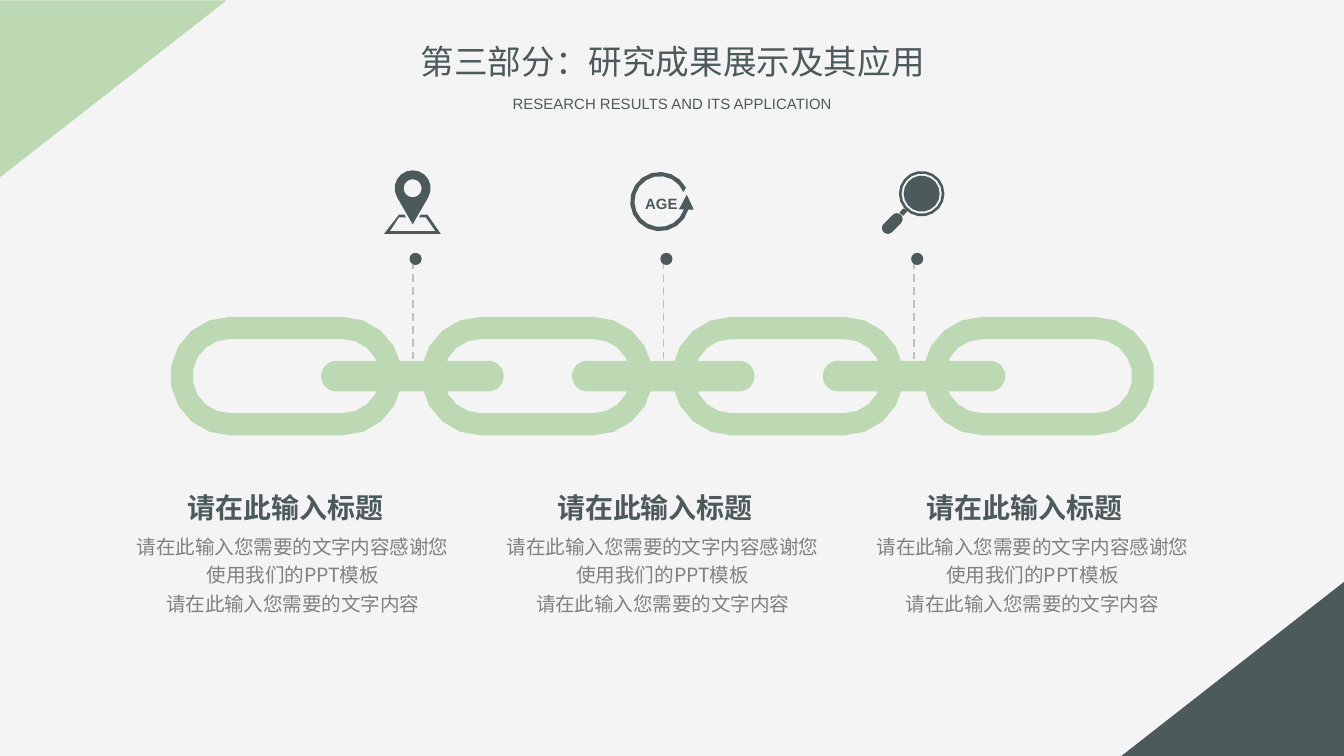
"""Build the chain slide of research results with three captioned icons."""
from math import cos, radians, sin

from lxml.etree import SubElement
from pptx import Presentation
from pptx.dml.color import RGBColor
from pptx.enum.dml import MSO_LINE as DASH
from pptx.enum.shapes import MSO_CONNECTOR as CONN, MSO_SHAPE as SHAPE
from pptx.enum.text import MSO_AUTO_SIZE as AUTO, PP_ALIGN as ALIGN
from pptx.oxml.ns import qn
from pptx.util import Cm, Pt

GREEN, DARK, GREY, RULE, PAPER = "BCD9B4", "4D5A5C", "808080", "BFBFBF", "F4F4F4"
CJK = "Noto Sans CJK SC"
STEP, MID = 4.74, 7.11


def arc(x, y, r, start, end):
    n = max(3, round(abs(end - start) / 20))
    angles = [radians(start + (end - start) * i / n) for i in range(n + 1)]
    return [(x + r * cos(a), y + r * sin(a)) for a in angles]


def paint(fmt, color):
    if hasattr(fmt, "solid"):
        fmt.solid()
        fmt = fmt.fore_color
    else:
        fmt = fmt.color
    fmt.rgb = RGBColor.from_string(color)


prs = Presentation()
prs.slide_width, prs.slide_height = Cm(25.4), Cm(14.29)
slide = prs.slides.add_slide(prs.slide_layouts[6])
paint(slide.background.fill, PAPER)
shapes = slide.shapes

for i in range(3):
    x = 7.8 + STEP * i
    line = shapes.add_connector(CONN.STRAIGHT, Cm(x), Cm(7.04), Cm(x), Cm(4.9))
    paint(line.line, RULE)
    line.line.width, line.line.dash_style = Pt(1), DASH.DASH
    SubElement(line._element.spPr, qn("a:effectLst"))

presets = [
    (SHAPE.RIGHT_TRIANGLE, 0.46, -0.46, 3.35, 4.29, 90, GREEN),
    (SHAPE.RIGHT_TRIANGLE, 21.64, 10.54, 3.3, 4.22, 270, DARK),
]
for i in range(3):
    presets += [
        (SHAPE.OVAL, 7.74 + STEP * i, 4.78, 0.23, 0.23, 0, DARK),
        (SHAPE.ROUNDED_RECTANGLE, 6.07 + STEP * i, MID - 0.29, 3.45, 0.58, 0, GREEN),
    ]
for kind, x, y, w, h, turn, color in presets:
    s = shapes.add_shape(kind, Cm(x), Cm(y), Cm(w), Cm(h))
    if kind == SHAPE.ROUNDED_RECTANGLE:
        s.adjustments[0] = 0.5
    s.rotation = turn
    s.shadow.inherit = False
    s.line.fill.background()
    paint(s.fill, color)

outlines = []
for i in range(4):
    x = 4.34 + STEP * i
    link = [arc(x, MID, r, 90, 270) + arc(x + 2.14, MID, r, -90, 90) for r in (1.12, 0.7)]
    outlines.append((link, GREEN))

pin = [
    [(7.54, 4.06), (7.65, 4.06), (7.67, 4.11), (7.54, 4.11), (7.37, 4.37), (8.23, 4.37),
     (8.05, 4.11), (7.92, 4.11), (7.95, 4.06), (8.08, 4.06), (8.33, 4.42), (7.26, 4.42)],
    arc(7.8, 3.56, 0.34, 150, 390) + [(7.8, 4.24)],
    arc(7.8, 3.56, 0.17, 0, 360),
]
cycle = [
    arc(12.47, 3.81, 0.56, -28, -344)
    + [(13.11, 3.96), (12.98, 3.68), (12.83, 3.96)]
    + arc(12.47, 3.81, 0.48, -342, -22)
]
magnifier = [arc(17.42, 3.66, r, 0, 360) for r in (0.43, 0.38, 0.34)]
magnifier += [
    [(17.07, 3.94), (17.0, 4.02), (17.07, 4.08), (17.15, 3.99)],
    arc(16.95, 4.14, 0.11, -135, 45) + arc(16.78, 4.31, 0.11, 45, 225),
]
outlines += [(icon, DARK) for icon in (pin, cycle, magnifier)]

for contours, color in outlines:
    loops = [[(Cm(x), Cm(y)) for x, y in contour] for contour in contours]
    fb = shapes.build_freeform(*loops[0][0])
    for n, points in enumerate(loops):
        if n:
            fb.move_to(*points[0])
        fb.add_line_segments(points[1:], close=True)
    s = fb.convert_to_shape()
    s.shadow.inherit = False
    s.line.fill.background()
    paint(s.fill, color)

heading = dict(size=Pt(15), name=CJK, bold=True)
body = dict(size=Pt(10.5), name=CJK)
texts = [
    (7.65, 0.64, 10.13, 1.02, ["第三部分：研究成果展示及其应用"], DARK, dict(size=Pt(18), name=CJK)),
    (9.37, 1.65, 6.68, 0.61, ["RESEARCH RESULTS AND ITS APPLICATION"], DARK,
     dict(size=Pt(8), name="Arial")),
    (11.9, 3.54, 1.2, 0.56, ["AGE"], DARK, dict(size=Pt(8), name="Arial", bold=True)),
]
for i in range(3):
    x = 2.36 + 6.99 * i
    texts += [
        (x + 0.92, 9.17, 4.22, 0.84, ["请在此输入标题"], DARK, heading),
        (x, 9.93, 6.35, 1.78,
         ["请在此输入您需要的文字内容感谢您使用我们的PPT模板", "请在此输入您需要的文字内容"], GREY, body),
    ]

for x, y, w, h, lines, color, style in texts:
    tf = shapes.add_textbox(Cm(x), Cm(y), Cm(w), Cm(h)).text_frame
    frame = dict(word_wrap=style is body, auto_size=AUTO.SHAPE_TO_FIT_TEXT,
                 margin_left=Cm(0.18), margin_right=Cm(0.18),
                 margin_top=Cm(0.1), margin_bottom=Cm(0.1))
    if style["size"] in (Pt(8), Pt(18)):
        frame.update(margin_top=Cm(0.13), margin_bottom=Cm(0.13))
    for key, value in frame.items():
        setattr(tf, key, value)
    for n, text in enumerate(lines):
        p = tf.add_paragraph() if n else tf.paragraphs[0]
        p.alignment = ALIGN.CENTER
        if style is body:
            p.line_spacing = 1.2
        r = p.add_run()
        r.text = text
        for key, value in style.items():
            setattr(r.font, key, value)
        paint(r.font, color)
        if style["name"] == CJK:
            SubElement(r.font._element, qn("a:ea"), typeface=CJK)

prs.save("out.pptx")
